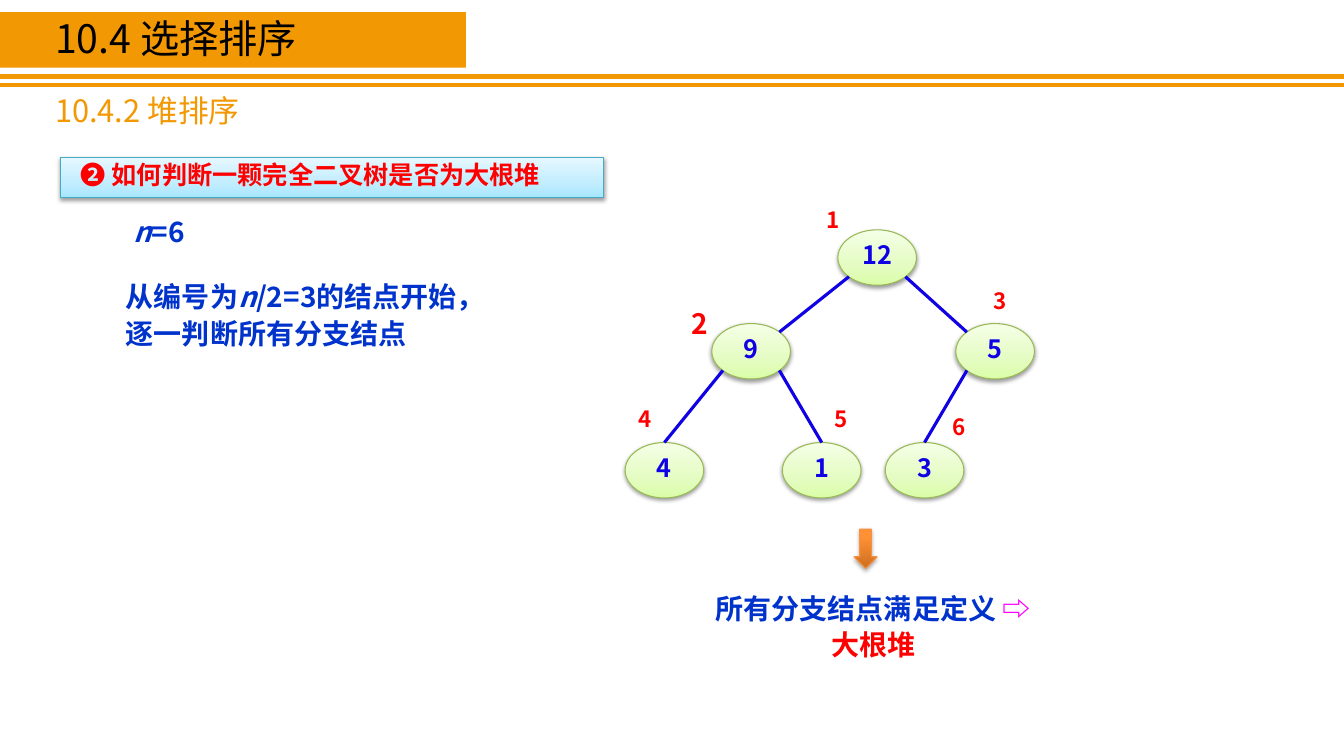
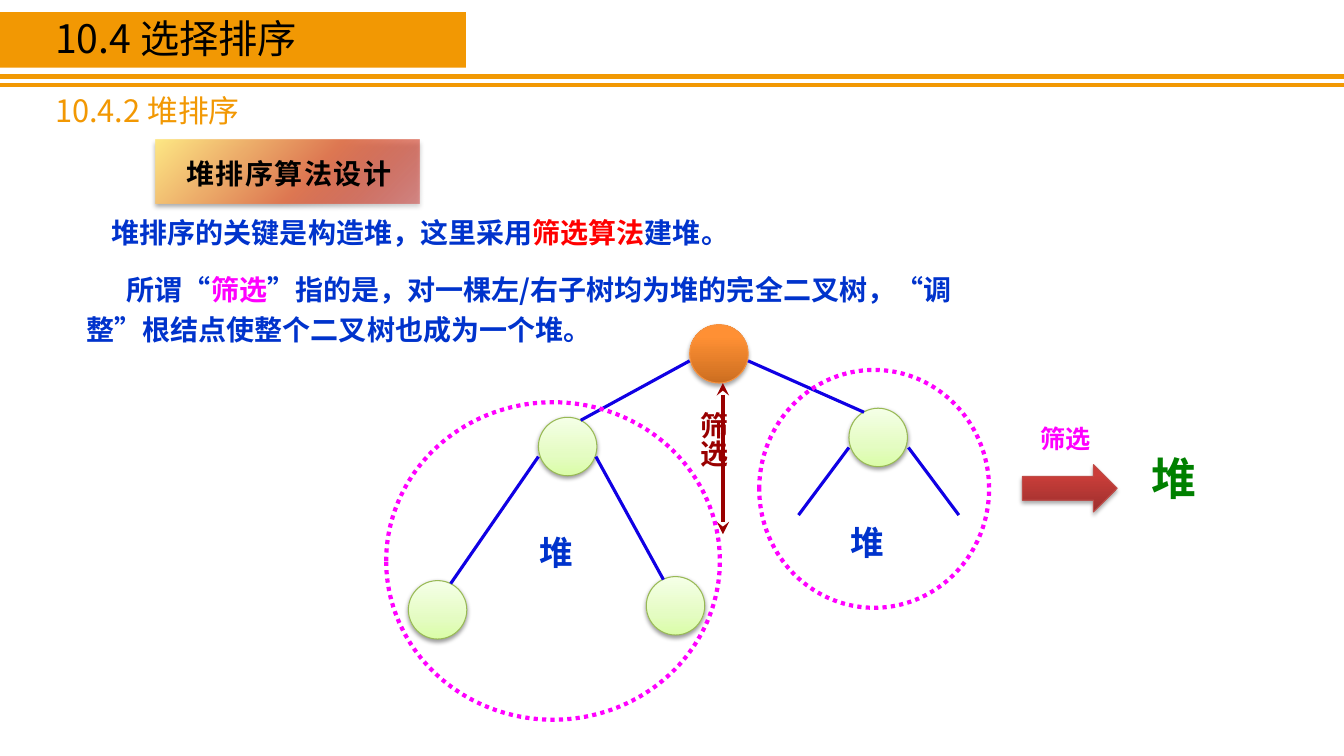
import pptx
import pptx.util
import pptx.dml.color
import pptx.enum.dml
import pptx.enum.shapes
import pptx.enum.text
import pptx.oxml.ns
from lxml import etree

Inches = pptx.util.Inches
Pt = pptx.util.Pt
RGBColor = pptx.dml.color.RGBColor
SHAPE = pptx.enum.shapes.MSO_SHAPE
ALIGN = pptx.enum.text.PP_ALIGN
ANCHOR = pptx.enum.text.MSO_ANCHOR
qn = pptx.oxml.ns.qn

FONT = "Noto Sans CJK SC"
BLACK = RGBColor(0x00, 0x00, 0x00)
ORANGE = RGBColor(0xF2, 0x98, 0x03)
RULE_ORANGE = RGBColor(0xF1, 0x99, 0x03)
BLUE = RGBColor(0x00, 0x33, 0xCC)
TREE_BLUE = RGBColor(0x10, 0x00, 0xE4)
RED = RGBColor(0xFF, 0x00, 0x00)
DARK_RED = RGBColor(0x99, 0x00, 0x00)
MAGENTA = RGBColor(0xFF, 0x00, 0xFF)
GREEN = RGBColor(0x00, 0x80, 0x00)
GREEN_EDGE = RGBColor(0x98, 0xB9, 0x55)
SKY_EDGE = RGBColor(0x46, 0xAA, 0xC5)
ORANGE_EDGE = RGBColor(0xF6, 0x92, 0x40)
BRICK_EDGE = RGBColor(0xBF, 0x4C, 0x48)

# Each look: gradient stops (position, colour, opacity), angle, edge, shadow (opacity, blur, distance)
SOFT_SHADOW = (38, 3.1, 1.6)
STRONG_SHADOW = (35, 3.1, 1.8)


def stops(*pairs):
    return [(position, RGBColor.from_string(colour), 100) for position, colour in pairs]


GREEN_LOOK = (stops((0, "DAFDA7"), (35, "E4FCC2"), (100, "F5FFE7")), 270, GREEN_EDGE, SOFT_SHADOW)
SKY_LOOK = (stops((0, "A7E6FF"), (35, "C1EDFF"), (100, "E7F8FF")), 270, SKY_EDGE, SOFT_SHADOW)
ORANGE_LOOK = (stops((0, "CC6E20"), (80, "FF9034"), (100, "FF9136")), 270, ORANGE_EDGE, STRONG_SHADOW)
BRICK_LOOK = (stops((0, "9C2F2D"), (80, "CB3E3A"), (100, "CE3B37")), 270, BRICK_EDGE, STRONG_SHADOW)
SUNSET_LOOK = ([(0, RGBColor(0xCE, 0x3B, 0x37), 50)] + stops((43, "DF7953"), (100, "FFE985")),
               225, None, (32, 3.5, 2.2))


def add_element(parent, tag, **attributes):
    return etree.SubElement(parent, qn(tag), {key: str(value) for key, value in attributes.items()})


def add_colour(parent, colour, opacity):
    add_element(add_element(parent, "a:srgbClr", val=colour), "a:alpha", val=opacity * 1000)


def write_text(frame, paragraphs, size=20, colour=BLUE, bold=True, align=ALIGN.LEFT,
               line_spacing=0.8, space_before=0, indents=(0,), tracking=0):
    """Fill a frame; a paragraph is a string or a list of strings and (string, overrides)."""
    frame.word_wrap = True
    for index, runs in enumerate(paragraphs):
        paragraph = frame.paragraphs[0] if index == 0 else frame.add_paragraph()
        paragraph.alignment = align
        paragraph.line_spacing = line_spacing
        if index:
            paragraph.space_before = Pt(space_before)
        indent = indents[index % len(indents)]
        if indent:
            paragraph._p.get_or_add_pPr().set("indent", str(Inches(indent)))
        for piece in [runs] if isinstance(runs, str) else runs:
            text, changes = (piece, {}) if isinstance(piece, str) else piece
            run = paragraph.add_run()
            run.text = text
            font = run.font
            font.size = Pt(size)
            font.bold = bold
            font.italic = changes.get("italic", False)
            font.color.rgb = changes.get("colour", colour)
            font.name = FONT
            properties = run._r.get_or_add_rPr()
            add_element(properties, "a:ea", typeface=FONT)
            if tracking:
                properties.set("spc", str(tracking * 100))


def add_text(slide, box, *paragraphs, margin=None, wrap=True, vertical=False, **text_format):
    label = slide.shapes.add_textbox(*map(Inches, box))
    frame = label.text_frame
    write_text(frame, paragraphs, **text_format)
    frame.word_wrap = wrap
    frame.auto_size = pptx.enum.text.MSO_AUTO_SIZE.SHAPE_TO_FIT_TEXT
    if margin is not None:
        frame.margin_left = frame.margin_right = Inches(margin)
        frame.margin_top = frame.margin_bottom = Inches(margin)
    if vertical:
        frame._txBody.bodyPr.set("vert", "eaVert")


def add_plain(slide, kind, box):
    shape = slide.shapes.add_shape(kind, *map(Inches, box))
    shape.shadow.inherit = False
    return shape


def add_glossy(slide, kind, box, look):
    """Add a shape with a gradient fill, a thin edge and a shadow."""
    gradient_stops, angle, edge, (opacity, blur, distance) = look
    shape = add_plain(slide, kind, box)
    if edge is None:
        shape.line.fill.background()
    else:
        shape.line.color.rgb = edge
        shape.line.width = Pt(0.75)
    properties = shape._element.spPr
    gradient = etree.Element(qn("a:gradFill"), rotWithShape="1")
    stop_list = add_element(gradient, "a:gsLst")
    for position, colour, stop_opacity in gradient_stops:
        add_colour(add_element(stop_list, "a:gs", pos=position * 1000), colour, stop_opacity)
    add_element(gradient, "a:lin", ang=angle * 60000, scaled=0)
    properties.find(qn("a:prstGeom")).addnext(gradient)
    shadow = add_element(properties.find(qn("a:effectLst")), "a:outerShdw", blurRad=Pt(blur),
                         dist=Pt(distance), dir=90 * 60000, rotWithShape=0)
    add_colour(shadow, BLACK, opacity)
    return shape


def add_line(slide, start, end, colour=TREE_BLUE, width=2.25, arrowheads=False):
    line = slide.shapes.add_connector(pptx.enum.shapes.MSO_CONNECTOR.STRAIGHT,
                                      *map(Inches, (*start, *end)))
    line.line.color.rgb = colour
    line.line.width = Pt(width)
    if arrowheads:
        for tag in ("a:headEnd", "a:tailEnd"):
            add_element(line.line._get_or_add_ln(), tag, type="stealth")
    add_element(line._element.spPr, "a:effectLst")


def add_header(slide):
    for y, colour in ((0.76, RULE_ORANGE), (0.84, ORANGE)):
        add_line(slide, (0, y), (13.33, y), colour, 3)
    band = add_plain(slide, SHAPE.RECTANGLE, (0, 0.12, 4.62, 0.55))
    band.fill.solid()
    band.fill.fore_color.rgb = ORANGE
    band.line.fill.background()
    add_text(slide, (0.45, 0.18, 3.8, 0.48), "10.4 选择排序", size=28, colour=BLACK, bold=False)
    add_text(slide, (0.45, 0.93, 4.8, 0.4), "10.4.2 堆排序", size=22, colour=ORANGE, bold=False)


def add_numbered_tree(slide, left, top):
    """Draw the six-node heap; node k has its parent at k // 2."""
    width, height = 0.78, 0.55
    diagonal_x, diagonal_y = 0.28, 0.19
    # value, node offset, number offset from the node, number size
    nodes = {
        1: ("12", (2.11, 0), (-0.24, -0.18), 16),
        2: ("9", (0.86, 0.93), (-0.31, -0.1), 20),
        3: ("5", (3.28, 0.93), (0.24, -0.31), 16),
        4: ("4", (0, 2.11), (0, -0.32), 16),
        5: ("1", (1.56, 2.11), (0.39, -0.32), 16),
        6: ("3", (2.58, 2.11), (0.54, -0.24), 16),
    }
    centres = {}
    for number, (value, (dx, dy), (number_dx, number_dy), number_size) in nodes.items():
        x, y = left + dx, top + dy
        centres[number] = (x + width / 2, y + height / 2)
        node = add_glossy(slide, SHAPE.OVAL, (x, y, width, height), GREEN_LOOK)
        node.text_frame.vertical_anchor = ANCHOR.MIDDLE
        write_text(node.text_frame, [value], size=18, colour=TREE_BLUE, align=ALIGN.CENTER)
        add_text(slide, (x + number_dx, y + number_dy, 0.39, 0.22), str(number), margin=0,
                 size=number_size, colour=RED, align=ALIGN.CENTER)
    for child in range(2, len(nodes) + 1):
        parent_x, parent_y = centres[child // 2]
        child_x, child_y = centres[child]
        side = 1 if child_x > parent_x else -1
        is_leaf = 2 * child > len(nodes)
        end = ((child_x, child_y - height / 2) if is_leaf
               else (child_x - side * diagonal_x, child_y - diagonal_y))
        add_line(slide, (parent_x + side * diagonal_x, parent_y + diagonal_y), end)


def add_conclusion(slide, left, top):
    add_glossy(slide, SHAPE.DOWN_ARROW, (left + 1.57, top, 0.23, 0.39), ORANGE_LOOK)
    add_text(slide, (left, top + 0.54, 3.52, 0.83),
             ["所有分支结点满足定义 ", ("⇨ ", {"colour": MAGENTA}), ("大根堆", {"colour": RED})],
             line_spacing=Pt(26), align=ALIGN.CENTER)


def build_check_slide(slide):
    add_header(slide)
    question = add_glossy(slide, SHAPE.RECTANGLE, (0.6, 1.56, 5.39, 0.4), SKY_LOOK)
    frame = question.text_frame
    frame.margin_left = Inches(0.2)
    frame.margin_top = frame.margin_bottom = Inches(0.08)
    frame.vertical_anchor = ANCHOR.TOP
    write_text(frame, ["❷ 如何判断一颗完全二叉树是否为大根堆"], size=18, colour=RED)
    italic_n = ("n", {"italic": True})
    add_text(slide, (1.23, 2.14, 1.33, 0.37), [italic_n, "=6"])
    add_text(slide, (1.15, 2.7, 3.52, 1.19),
             ["从编号为", italic_n, "/2=3的结点开始，逐一判断所有分支结点"], line_spacing=Pt(26))
    add_numbered_tree(slide, 6.2, 2.28)
    add_conclusion(slide, 6.9, 5.25)


def add_sifting_tree(slide, left, top):
    """Draw a root above two dotted subtrees that are already heaps."""
    def at(x, y, *size):
        return (left + x, top + y, *size)

    diameter = 0.58
    add_glossy(slide, SHAPE.OVAL, at(3.01, 0, diameter, diameter), ORANGE_LOOK)
    for x, y in ((1.51, 0.92), (4.59, 0.83), (0.22, 2.54), (2.58, 2.5)):
        add_glossy(slide, SHAPE.OVAL, at(x, y, diameter, diameter), GREEN_LOOK)
    edges = (
        ((3.01, 0.36), (1.93, 0.95)), ((3.59, 0.36), (4.74, 0.87)),
        ((1.51, 1.31), (0.64, 2.57)), ((2.08, 1.31), (2.75, 2.53)),
        ((4.59, 1.22), (4.09, 1.89)), ((5.18, 1.22), (5.68, 1.89)),
    )
    for start, end in edges:
        add_line(slide, at(*start), at(*end))
    for x, y in ((1.42, 2.09), (4.51, 1.99)):
        add_text(slide, at(x, y, 0.53, 0.42), "堆", size=24, wrap=False)
    add_line(slide, at(3.34, 0.58), at(3.34, 2.08), DARK_RED, 3, arrowheads=True)
    add_text(slide, at(2.93, 0.77, 0.47, 0.88), "筛选", colour=DARK_RED, vertical=True)
    for subtree_box in ((0, 0.77, 3.31, 3.15), (3.7, 0.45, 2.28, 2.36)):
        subtree = add_plain(slide, SHAPE.OVAL, at(*subtree_box))
        subtree.fill.background()
        subtree.line.color.rgb = MAGENTA
        subtree.line.width = Pt(3)
        subtree.line.dash_style = pptx.enum.dml.MSO_LINE.ROUND_DOT


def add_sifting_result(slide, left, top):
    add_glossy(slide, SHAPE.RIGHT_ARROW, (left + 0.04, top + 0.4, 0.94, 0.47), BRICK_LOOK)
    add_text(slide, (left + 1.22, top + 0.32, 0.94, 0.53), "堆", size=32, colour=GREEN)
    add_text(slide, (left, top, 0.94, 0.34), "筛选", size=18, colour=MAGENTA, align=ALIGN.CENTER)


def build_sifting_slide(slide):
    add_header(slide)
    add_text(slide, (0.76, 2.02, 9.06, 1.48),
             ["堆排序的关键是构造堆，这里采用", ("筛选算法", {"colour": RED}), "建堆。"],
             ["所谓“", ("筛选", {"colour": MAGENTA}),
              "”指的是，对一棵左/右子树均为堆的完全二叉树，“调整”根结点使整个二叉树也成为一个堆。"],
             line_spacing=1.2, space_before=12, indents=(0.25, 0.4))
    add_sifting_tree(slide, 3.83, 3.22)
    add_sifting_result(slide, 10.1, 4.21)
    add_glossy(slide, SHAPE.RECTANGLE, (1.54, 1.39, 2.62, 0.63), SUNSET_LOOK)
    add_text(slide, (1.75, 1.57, 2.26, 0.37), "堆排序算法设计", colour=BLACK, tracking=1)


def main():
    deck = pptx.Presentation()
    deck.slide_width, deck.slide_height = Inches(13.33), Inches(7.5)
    blank = deck.slide_layouts[6]
    for build in (build_check_slide, build_sifting_slide):
        build(deck.slides.add_slide(blank))
    deck.save("out.pptx")


if __name__ == "__main__":
    main()
